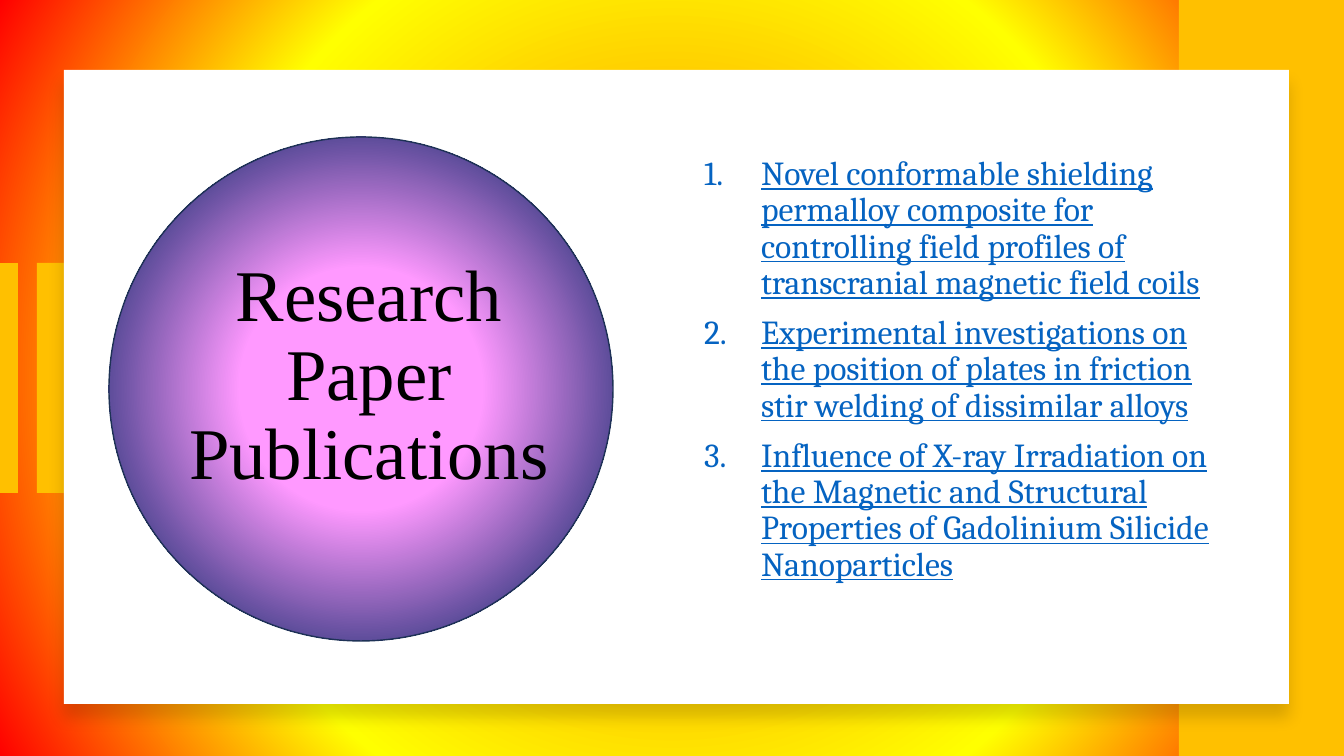
from lxml import etree
from pptx import Presentation
from pptx.dml.color import RGBColor
from pptx.enum.shapes import MSO_CONNECTOR as CONNECTOR, MSO_SHAPE as SHAPE
from pptx.enum.text import MSO_ANCHOR as ANCHOR, MSO_AUTO_SIZE as AUTO_SIZE, PP_ALIGN as ALIGN
from pptx.oxml import parse_xml
from pptx.oxml.ns import nsdecls, qn
from pptx.util import Emu, Pt

COLORS = {
    "gold": "FFC000", "yellow": "FFFF00", "red": "FF0000", "white": "FFFFFF",
    "black": "000000", "link": "0563C1", "pink": "FF99FF", "navy": "002060",
    "purple": "7030A0", "outline": "1E3256",
}
PAPERS = [
    "Novel conformable shielding permalloy composite for controlling field profiles of "
    "transcranial magnetic field coils",
    "Experimental investigations on the position of plates in friction stir welding of "
    "dissimilar alloys",
    "Influence of X-ray Irradiation on the Magnetic and Structural Properties of "
    "Gadolinium Silicide Nanoparticles",
]
INDENT = 57


def px(*lengths):
    return [Emu(round(length * 914400 / 100.8)) for length in lengths]


def radial_fill(fill, owner, stops):
    """Turn the solid fill of owner into a gradient from the centre outwards."""
    fill.solid()
    solid = next(owner.iter(qn("a:solidFill")))
    marks = "".join(
        f'<a:gs pos="{percent * 1000}"><a:srgbClr val="{COLORS[name]}"/></a:gs>'
        for percent, name in stops)
    solid.getparent().replace(solid, parse_xml(
        f'<a:gradFill {nsdecls("a")} rotWithShape="1"><a:gsLst>{marks}</a:gsLst>'
        '<a:path path="circle"><a:fillToRect l="50000" t="50000" r="50000" b="50000"/>'
        '</a:path></a:gradFill>'))


deck = Presentation()
deck.slide_width, deck.slide_height = px(1344, 756)
slide = deck.slides.add_slide(deck.slide_layouts[1])
shapes = slide.shapes
title, papers = slide.placeholders

# Background
radial_fill(slide.background.fill, slide.element,
            [(32, "gold"), (62, "yellow"), (100, "red")])

# Gold bars at both sides and the white card
for box, color in [((37, 263, 34, 230), "gold"),
                   ((1179, 0, 165, 756), "gold"),
                   ((64, 70, 1225, 634), "white")]:
    panel = shapes.add_shape(SHAPE.RECTANGLE, *px(*box))
    panel.shadow.inherit = False
    panel.fill.solid()
    panel.fill.fore_color.rgb = RGBColor.from_string(COLORS[color])
    panel.line.fill.background()
card = panel
card.element.spPr.find(qn("a:effectLst")).append(parse_xml(
    f'<a:outerShdw {nsdecls("a")} blurRad="{Pt(11)}" dist="{Pt(10)}" dir="5400000" '
    f'algn="t" rotWithShape="0"><a:srgbClr val="{COLORS["black"]}">'
    '<a:alpha val="15000"/></a:srgbClr></a:outerShdw>'))

edge_bar = shapes.add_connector(CONNECTOR.STRAIGHT, *px(8, 263, 8, 493))
edge_bar.line.color.rgb = RGBColor.from_string(COLORS["gold"])
edge_bar.line.width = Pt(14)
etree.SubElement(edge_bar.element.spPr, qn("a:effectLst"))

# Circle behind the title
circle = shapes.add_shape(SHAPE.OVAL, *px(109, 137, 504, 504))
circle.shadow.inherit = False
radial_fill(circle.fill, circle.element.spPr,
            [(34, "pink"), (92, "navy"), (100, "purple")])
circle.line.color.rgb = RGBColor.from_string(COLORS["outline"])
circle.line.width = Pt(1)

# Title and list of papers, in front of the card and the circle
for holder, box in [(papers, (694, 137, 548, 466)), (title, (148, 119, 442, 516))]:
    shapes.element.append(holder.element)
    holder.left, holder.top, holder.width, holder.height = px(*box)
    holder.text_frame.word_wrap = True
    holder.text_frame.auto_size = AUTO_SIZE.NONE
    holder.text_frame.vertical_anchor = ANCHOR.MIDDLE

title.text_frame.text = "Research Paper Publications"
heading = title.text_frame.paragraphs[0]
heading.alignment = ALIGN.CENTER
heading.line_spacing = 0.9
heading.font.name = "Times New Roman"
heading.font.size = Pt(52)
heading.font.color.rgb = RGBColor.from_string(COLORS["black"])

papers.text_frame.text = "\n".join(PAPERS)
for number, paper in enumerate(papers.text_frame.paragraphs):
    layout = paper._p.get_or_add_pPr()
    layout.set("marL", str(px(INDENT)[0]))
    layout.set("indent", str(px(-INDENT)[0]))
    etree.SubElement(layout, qn("a:buAutoNum"), type="arabicPeriod")
    paper.line_spacing = 0.9
    paper.space_before = Pt(10 if number else 0)
    paper.font.name = "Cambria"
    paper.font.size = Pt(24)
    paper.font.underline = True
    paper.font.color.rgb = RGBColor.from_string(COLORS["link"])

deck.save("out.pptx")
